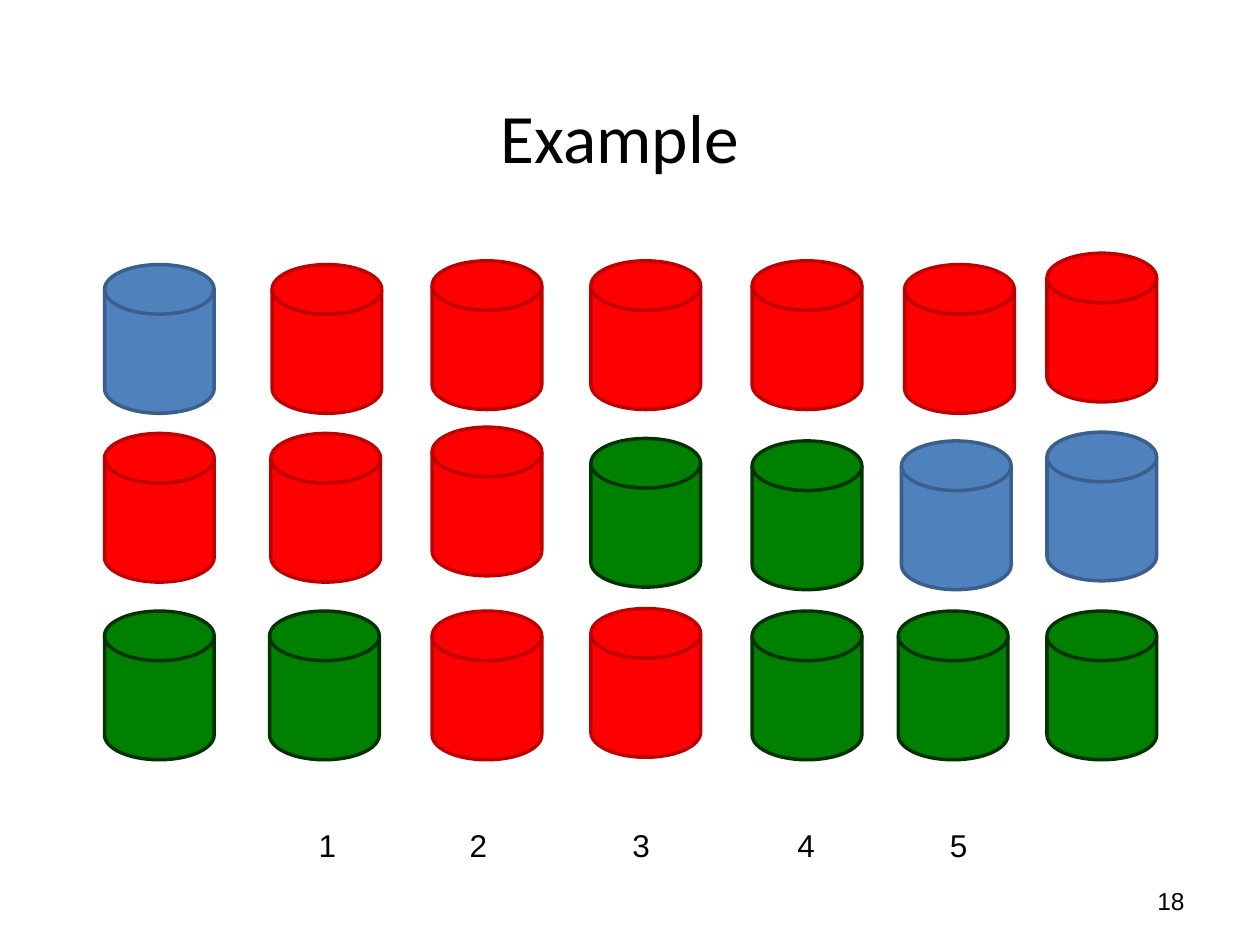
from pptx import Presentation
from pptx.dml.color import RGBColor
from pptx.enum.shapes import MSO_SHAPE
from pptx.enum.text import MSO_ANCHOR, PP_ALIGN
from pptx.util import Inches, Pt

WIDE, HIGH = Inches(10), Inches(7.5)
COLS, ROWS = 1000, 750
DISK = (87, 118)
HUES = {
    "B": ("4F81BD", "3A5F8C"),
    "R": ("FF0000", "C00000"),
    "G": ("008000", "003300"),
}
STACKS = [
    (0, 0, (9, 143, 284), "BRG"),
    (133, -1, (9, 143, 284), "RRG"),
    (260, 0, (6, 138, 284), "RRR"),
    (386, 0, (6, 147, 282), "RGR"),
    (514, 0, (6, 149, 284), "RGG"),
    (635, -2.5, (9, 149, 284), "RBG"),
    (748, 0, (0, 142, 284), "RBG"),
]
MARKS = (0, 120, 249, 380, 501)


def color(code):
    return RGBColor.from_string(code)


def place(box):
    left, top, wide, high = box
    return (round(left * WIDE / COLS), round(top * HIGH / ROWS),
            round(wide * WIDE / COLS), round(high * HIGH / ROWS))


def write(slide, box, text, size=18, font="Arial", hue="000000",
          align=PP_ALIGN.LEFT, anchor=MSO_ANCHOR.TOP, wrap=True):
    frame = slide.shapes.add_textbox(*place(box)).text_frame
    frame.word_wrap = wrap
    frame.vertical_anchor = anchor
    line = frame.paragraphs[0]
    line.alignment = align
    run = line.add_run()
    run.text = text
    run.font.size = Pt(size)
    run.font.name = font
    run.font.color.rgb = color(hue)


def disk(slide, box, hue):
    fill, edge = HUES[hue]
    shape = slide.shapes.add_shape(MSO_SHAPE.FLOWCHART_MAGNETIC_DISK, *place(box))
    shape.shadow.inherit = False
    shape.fill.solid()
    shape.fill.fore_color.rgb = color(fill)
    shape.line.color.rgb = color(edge)
    shape.line.width = Pt(2)


def stacks(slide, box):
    left, top = box[:2]
    for start, lean, tops, hues in STACKS:
        for row, (drop, hue) in enumerate(zip(tops, hues)):
            disk(slide, (left + start + row * lean, top + drop, *DISK), hue)


def marks(slide, box):
    left, top, wide, high = box
    for count, start in enumerate(MARKS, 1):
        write(slide, (left + start, top, 34, high), str(count), wrap=False)


def main():
    deck = Presentation()
    deck.slide_width, deck.slide_height = WIDE, HIGH
    slide = deck.slides.add_slide(deck.slide_layouts[6])
    write(slide, (42, 76, 900, 64), "Example", size=39.6, font="Calibri",
          align=PP_ALIGN.CENTER, anchor=MSO_ANCHOR.MIDDLE)
    stacks(slide, (83, 201, 835, 402))
    marks(slide, (243, 651, 535, 40))
    write(slide, (717, 695, 233, 40), "18", size=14,
          align=PP_ALIGN.RIGHT, anchor=MSO_ANCHOR.MIDDLE)
    deck.save("out.pptx")


if __name__ == "__main__":
    main()
